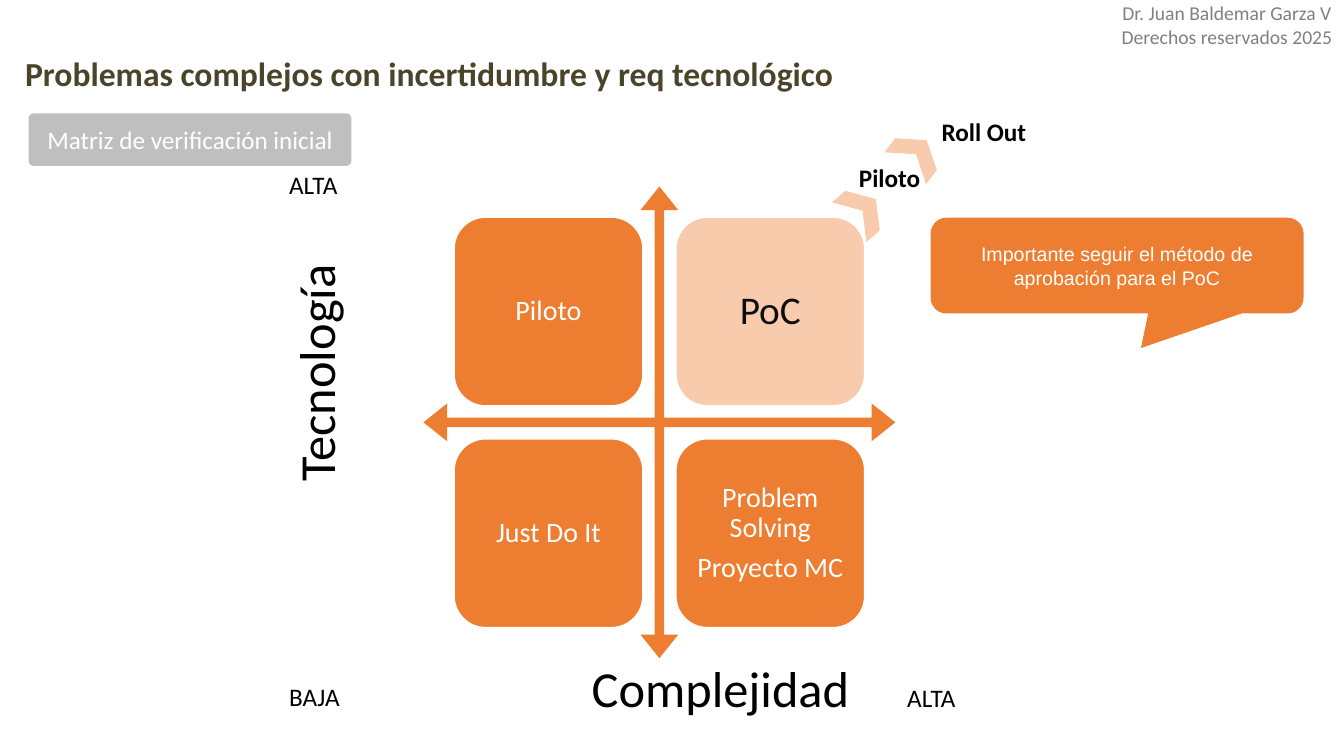
from dataclasses import dataclass

from pptx import Presentation
from pptx.dml.color import RGBColor
from pptx.enum.shapes import MSO_SHAPE
from pptx.enum.text import MSO_ANCHOR, PP_ALIGN
from pptx.util import Inches, Pt

LEFT, CENTER = PP_ALIGN.LEFT, PP_ALIGN.CENTER
TOP, MIDDLE = MSO_ANCHOR.TOP, MSO_ANCHOR.MIDDLE
ROUNDED, CHEVRON = MSO_SHAPE.ROUNDED_RECTANGLE, MSO_SHAPE.CHEVRON
QUAD_ARROW = MSO_SHAPE.QUAD_ARROW
CALLOUT = MSO_SHAPE.ROUNDED_RECTANGULAR_CALLOUT


@dataclass(frozen=True)
class Theme:
    orange: str = "ED7D31"
    peach: str = "F8CBAD"
    gray: str = "BFBFBF"
    credit: str = "808080"
    title: str = "4A452A"
    dark: str = "0D0D0D"
    black: str = "000000"
    white: str = "FFFFFF"
    font: str = "Calibri"
    callout_font: str = "Arial"
    small: int = 14
    label: int = 18
    tile: int = 20
    heading: int = 24
    poc: int = 28
    axis: int = 36


T = Theme()


def write(sp, text, size=T.label, color=T.black, font=T.font, bold=False,
          align=LEFT, anchor=TOP, wrap=True, inset=(0.1, 0.05),
          line_spacing=None, after=None):
    """Fill a shape with text, one paragraph per line."""
    tf = sp.text_frame
    tf.word_wrap = wrap
    tf.vertical_anchor = anchor
    tf.margin_left = tf.margin_right = Inches(inset[0])
    tf.margin_top = tf.margin_bottom = Inches(inset[1])
    for i, line in enumerate(text.split("\n")):
        p = tf.add_paragraph() if i else tf.paragraphs[0]
        p.alignment = align
        if line_spacing:
            p.line_spacing = line_spacing
        if after:
            p.space_after = Pt(after)
        r = p.add_run()
        r.text = line
        r.font.size, r.font.name, r.font.bold = Pt(size), font, bold
        r.font.color.rgb = RGBColor.from_string(color)


def add_text(s, box, text, rotation=0, **fmt):
    sp = s.shapes.add_textbox(*map(Inches, box))
    sp.rotation = rotation
    write(sp, text, **fmt)


def add_shape(s, kind, box, fill, line=None, line_width=1, adjust=(), rotation=0):
    sp = s.shapes.add_shape(kind, *map(Inches, box))
    sp.shadow.inherit = False
    sp.fill.solid()
    sp.fill.fore_color.rgb = RGBColor.from_string(fill)
    if line:
        sp.line.color.rgb = RGBColor.from_string(line)
        sp.line.width = Pt(line_width)
    else:
        sp.line.fill.background()
    for i, value in enumerate(adjust):
        sp.adjustments[i] = value
    sp.rotation = rotation
    return sp


def header(s, x, y, w):
    add_text(s, (x + 10.61, y - 0.4, 2.82, 0.57),
             "Dr. Juan Baldemar Garza V\nDerechos reservados 2025",
             size=T.small, color=T.credit, align=CENTER)
    add_text(s, (x, y, w, 0.73),
             "Problemas complejos con incertidumbre y req tecnológico",
             size=T.heading, color=T.title, bold=True, anchor=MIDDLE)
    tag = add_shape(s, ROUNDED, (x + 0.15, y + 0.78, 3.17, 0.49), T.gray,
                    line=T.gray, line_width=2.25, adjust=[0.07])
    write(tag, "Matriz de verificación inicial", color=T.white,
          anchor=MIDDLE, wrap=False, inset=(0.16, 0))


def matrix(s, x, y, side):
    """Four rounded tiles around a four-way arrow."""
    add_shape(s, QUAD_ARROW, (x, y, side, side), T.orange,
              adjust=(0.02, 0.04, 0.05))
    margin, tile = 0.065 * side, 0.4 * side
    pitch = side - 2 * margin - tile
    rows = (("Piloto", "PoC"), ("Just Do It", "Problem Solving\nProyecto MC"))
    for row, names in enumerate(rows):
        for col, name in enumerate(names):
            poc = name == "PoC"
            size = T.poc if poc else T.tile
            box = (x + margin + col * pitch, y + margin + row * pitch, tile, tile)
            sp = add_shape(s, ROUNDED, box, T.peach if poc else T.orange,
                           line=T.white)
            write(sp, name, size=size, color=T.dark if poc else T.white,
                  align=CENTER, anchor=MIDDLE, inset=(0.08, 0.08),
                  line_spacing=0.9, after=0.35 * size)


def axes(s, x, y):
    """Axis names and their end labels, from the top left label."""
    add_text(s, (x - 0.83, y + 1.7, 2.38, 0.71), "Tecnología", rotation=270,
             size=T.axis, wrap=False)
    add_text(s, (x + 3, y + 4.84, 2.89, 0.71), "Complejidad", size=T.axis,
             wrap=False)
    for dx, dy, text in ((0, 0, "ALTA"), (0, 5.08, "BAJA"), (6.13, 5.09, "ALTA")):
        add_text(s, (x + dx, y + dy, 0.7, 0.4), text, wrap=False)


def next_steps(s, x, y):
    """Chevrons that lead from the PoC tile to the roll out."""
    steps = (("Piloto", 0.04, 0.45, 0, 0.72, 319.1),
             ("Roll Out", 0.86, 0, 0.53, 0.16, 307.4))
    for name, text_x, text_y, mark_x, mark_y, angle in steps:
        add_text(s, (x + text_x, y + text_y, 1.05, 0.4), name, bold=True,
                 wrap=False)
        add_shape(s, CHEVRON, (x + mark_x, y + mark_y, 0.35, 0.52), T.peach,
                  rotation=angle)


def callout(s, box):
    sp = add_shape(s, CALLOUT, box, T.orange, adjust=(0.064, 0.861, 0.167))
    write(sp, "Importante seguir el método de aprobación para el PoC",
          size=T.small, color=T.white, font=T.callout_font, align=CENTER,
          anchor=MIDDLE)


def main():
    prs = Presentation()
    prs.slide_width, prs.slide_height = Inches(13.33), Inches(7.5)
    s = prs.slides.add_slide(prs.slide_layouts[6])
    header(s, 0.15, 0.36, 12.48)
    matrix(s, 4.2, 1.85, 4.68)
    axes(s, 2.77, 1.63)
    next_steps(s, 8.38, 1.11)
    callout(s, (9.23, 2.16, 3.7, 0.95))
    prs.save("out.pptx")


if __name__ == "__main__":
    main()
